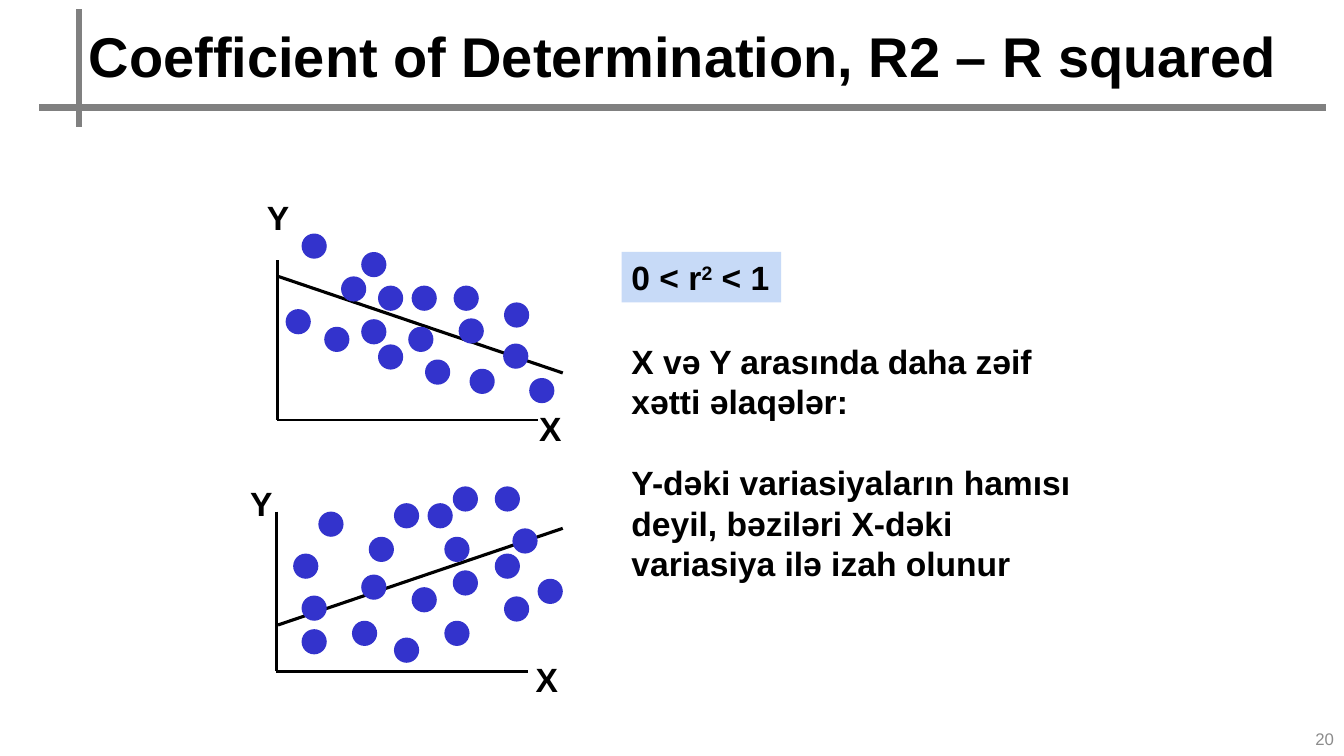
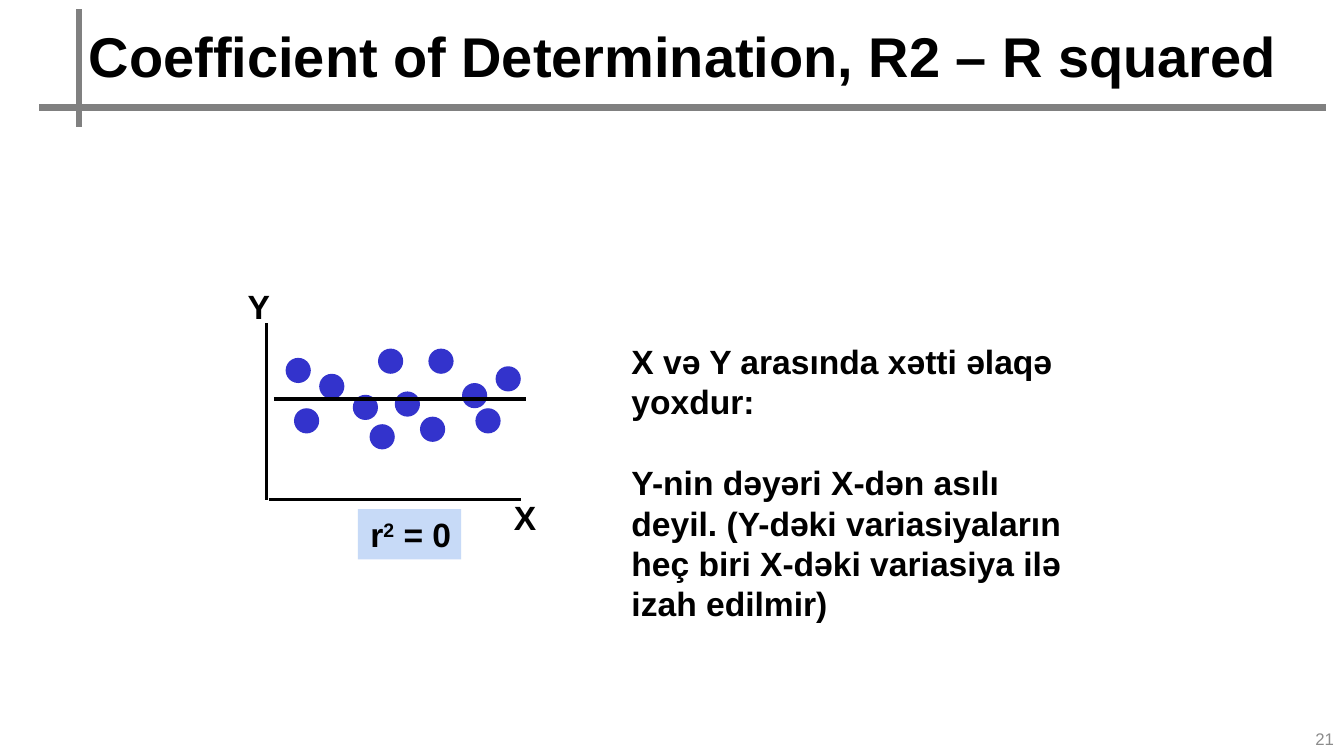
from dataclasses import dataclass
from pptx import Presentation
from pptx.dml.color import RGBColor as Rgb
from pptx.enum.shapes import MSO_CONNECTOR as Link, MSO_SHAPE as Shape
from pptx.enum.text import MSO_ANCHOR as Anchor, PP_ALIGN as Align
from pptx.oxml.ns import qn
from pptx.util import Inches, Pt
from lxml.etree import SubElement


@dataclass(frozen=True)
class Theme:
    font: str = "Arial"
    ink: Rgb = Rgb.from_string("000000")
    rule: Rgb = Rgb.from_string("808080")
    faint: Rgb = Rgb.from_string("8C8C8C")
    dot: Rgb = Rgb.from_string("3333CC")
    badge: Rgb = Rgb.from_string("C7DAF7")
    head: int = 40
    body: int = 24
    note: int = 12
    gap: int = 29


look = Theme()
deck = Presentation()
deck.slide_width, deck.slide_height = Inches(40 / 3), Inches(7.5)
unit = deck.slide_width / 160  # the grid has 160 columns and 90 rows
DOT = 3


def grid(*cells):
    return [round(cell * unit) for cell in cells]


def write(slide, place, *paras, size=look.body, color=look.ink, bold=True,
          align=Align.LEFT, wrap=True, fill=None):
    """Add a text box; a part between two ^ marks is raised."""
    box = slide.shapes.add_textbox(*grid(*place))
    if fill is not None:
        box.fill.solid()
        box.fill.fore_color.rgb = fill
    frame = box.text_frame
    frame.word_wrap = wrap
    for n, words in enumerate(paras):
        para = frame.add_paragraph() if n else frame.paragraphs[0]
        para.alignment = align
        if n:
            para.space_before = Pt(look.gap)
        font = para.font
        font.name, font.size, font.bold = look.font, Pt(size), bold
        font.color.rgb = color
        for k, part in enumerate(words.split("^")):
            run = para.add_run()
            run.text = part
            if k % 2:
                run._r.get_or_add_rPr().set("baseline", "30000")
    return frame


def draw(slide, ends, width, color=look.ink):
    """Add a plain straight line."""
    line = slide.shapes.add_connector(Link.STRAIGHT, *grid(*ends))
    line.line.width = Pt(width)
    line.line.color.rgb = color
    SubElement(line._element.spPr, qn("a:effectLst"))


falling = dict(
    axes=[(33, 31, 33, 50), (33, 50, 64, 50)],
    trend=(67, 44.4, 33.1, 32.9), over=False,
    names={"Y": (30.6, 22.9), "X": (63, 48)},
    dots=[(63, 45), (59.9, 40.9), (35.9, 27.8), (40.6, 32.9), (55.9, 43.9),
          (34, 36.8), (50.6, 42.8), (43, 30), (54, 34), (60, 36),
          (38.6, 38.9), (49, 34), (43, 38), (48.6, 38.9), (54.6, 37.9),
          (45, 34), (45, 41)])
rising = dict(
    axes=[(32.9, 60.9, 32.9, 79.9), (32.9, 79.9, 62.9, 79.9)],
    trend=(33.1, 74.4, 67, 62.9), over=False,
    names={"Y": (28.6, 56.9), "X": (62.6, 77.9)},
    dots=[(35.9, 74.9), (35.9, 70.9), (58.9, 57.9), (61, 62.9), (41.9, 73.9),
          (58.9, 65.9), (52.9, 73.9), (53.9, 57.9), (46.9, 59.9),
          (34.9, 65.9), (37.9, 60.9), (43, 68.4), (53.9, 67.9), (49, 69.9),
          (46.9, 75.9), (64, 68.9), (52.9, 63.9), (50.9, 59.9),
          (43.9, 63.9), (60, 71)])
level = dict(
    axes=[(31.7, 38.5, 31.7, 59.5), (32, 59.5, 62, 59.5)],
    trend=(32.6, 47.5, 62.6, 47.5), over=True,
    names={"Y": (28.3, 33.5), "X": (60, 58.6)},
    dots=[(35, 48.6), (59, 43.6), (55, 45.6), (50, 49.6), (51, 41.5),
          (45, 41.5), (34, 42.6), (38, 44.5), (42, 47), (47, 46.6),
          (44, 50.5), (56.6, 48.6)])

pages = [
    dict(plots=[falling, rising],
         badge=("0 < r^2^ < 1", (74, 30, 19, 6), Align.LEFT),
         text=["X və Y arasında daha zəif xətti əlaqələr:",
               "Y-dəki variasiyaların hamısı deyil, bəziləri X-dəki "
               "variasiya ilə izah olunur"]),
    dict(plots=[level],
         badge=("r^2^ = 0", (42.6, 60.6, 12.3, 6), Align.RIGHT),
         text=["X və Y arasında xətti əlaqə yoxdur:",
               "Y-nin dəyəri X-dən asılı deyil. (Y-dəki variasiyaların "
               "heç biri X-dəki variasiya ilə izah edilmir)"]),
]

for number, page in enumerate(pages, 20):
    slide = deck.slides.add_slide(deck.slide_layouts[6])
    write(slide, (9.4, 2, 150, 9.2),
          "Coefficient of Determination, R2 – R squared", size=look.head)
    for ends in [(9.4, 1.1, 9.4, 15.1), (4.7, 12.8, 157.9, 12.8)]:
        draw(slide, ends, 4.5, look.rule)
    foot = write(slide, (124, 85.6, 36, 4.8), str(number), size=look.note,
                 color=look.faint, bold=False, align=Align.RIGHT)
    foot.vertical_anchor = Anchor.MIDDLE

    for plot in page["plots"]:
        for ends in plot["axes"]:
            draw(slide, ends, 2)
        if not plot["over"]:
            draw(slide, plot["trend"], 2.25)
        for spot in plot["dots"]:
            dot = slide.shapes.add_shape(Shape.OVAL, *grid(*spot, DOT, DOT))
            dot.shadow.inherit = False
            dot.fill.solid()
            dot.fill.fore_color.rgb = look.dot
            dot.line.fill.background()
        if plot["over"]:
            draw(slide, plot["trend"], 2.25)
        for name, spot in plot["names"].items():
            write(slide, (*spot, 5, 6), name, wrap=False)

    words, place, align = page["badge"]
    write(slide, place, words, align=align, wrap=False, fill=look.badge)
    write(slide, (74, 40, 55, 32), *page["text"])

deck.save("out.pptx")
